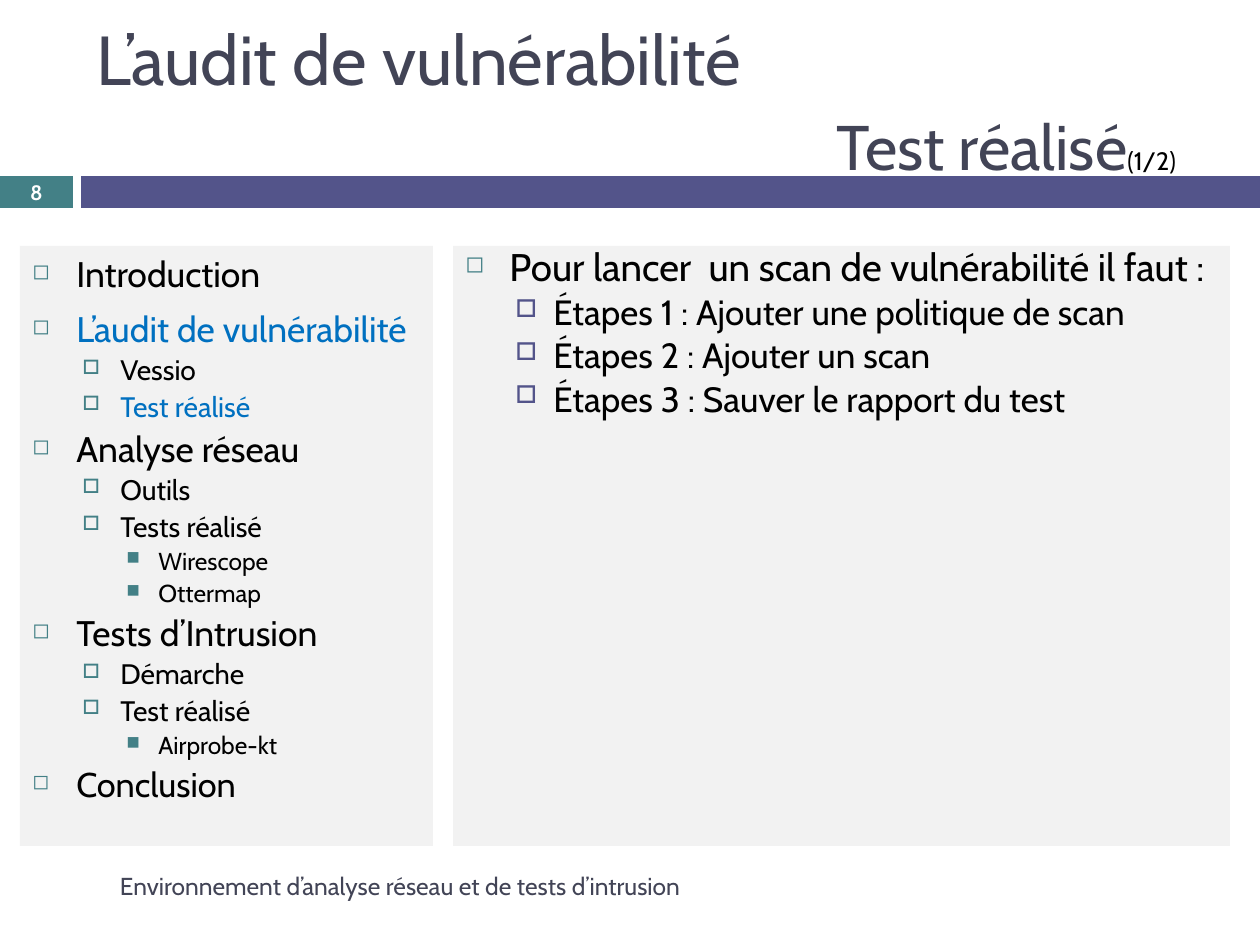
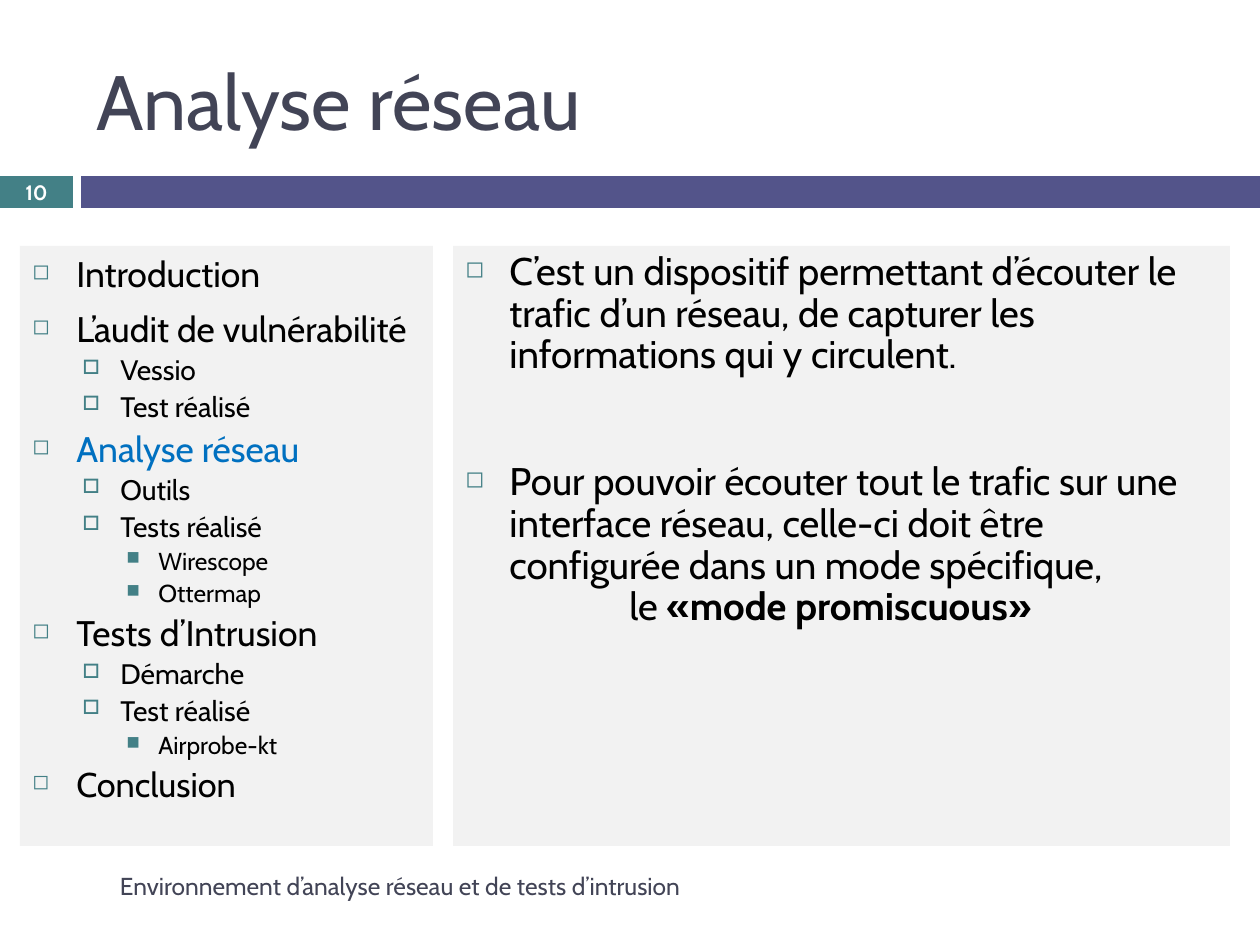
from dataclasses import dataclass
from lxml.etree import SubElement
from pptx import Presentation
from pptx.dml.color import RGBColor as Rgb
from pptx.enum.shapes import MSO_SHAPE as Shape
from pptx.enum.text import MSO_ANCHOR as Anchor, PP_ALIGN as Align
from pptx.oxml.ns import qn
from pptx.util import Pt

SCALE = 914400 / 126


@dataclass(frozen=True)
class Theme:
    """Colours, font and type sizes of the deck."""
    font: str = "Cabin"
    ink: str = "000000"
    white: str = "FFFFFF"
    slate: str = "424456"
    teal: str = "438086"
    violet: str = "53548A"
    panel: str = "F2F2F2"
    active: str = "0070C0"
    title: float = 44
    pair: tuple = (39.6, 36, 14.4)
    page: float = 11.9
    foot: float = 14
    menu: tuple = (20.3, 16.1, 14)
    last: float = 19.6
    body: tuple = (22, 20)


@dataclass(frozen=True)
class Level:
    """Indents in px, space before in points and bullet of an outline level."""
    left: int
    hang: int
    before: float
    mark: str
    ratio: int


THEME = Theme()
LEVELS = (Level(44, 44, 7, "◻", 60), Level(88, 38, 5.5, "□", 70),
          Level(126, 32, 5, "■", 75))
BAND = (0, 176, 1260, 32)
TITLE = (84, 32, 1124, 136)
SIDE = (20, 246, 413, 600)
BODY = (453, 246, 777, 600)
FOOT = (84, 861, 747, 50)
FOOTER = "Environnement d’analyse réseau et de tests d’intrusion"
MENU = (
    (0, "Introduction", 1), (0, "L’audit de vulnérabilité", 1),
    (1, "Vessio", 0.8), (1, "Test réalisé", 0.8),
    (0, "Analyse réseau", 0.8), (1, "Outils", 0.8), (1, "Tests réalisé", 0.8),
    (2, "Wirescope", 0.8), (2, "Ottermap", 0.8),
    (0, "Tests d’Intrusion", 0.8), (1, "Démarche", 0.8),
    (1, "Test réalisé", 0.8), (2, "Airprobe-kt", 0.8), (0, "Conclusion", 0.8),
)
STEPS = ("Ajouter une politique de scan", "Ajouter un scan",
         "Sauver le rapport du test")


def px(n):
    """Turn px into EMU."""
    return round(n * SCALE)


def style(para, size, color=THEME.ink, bold=False):
    """Set the font of a paragraph or run."""
    font = para.font
    font.name, font.size, font.bold = THEME.font, Pt(size), bold
    font.color.rgb = Rgb.from_string(color)


def block(slide, box, fill):
    """Add a plain filled rectangle."""
    shape = slide.shapes.add_shape(Shape.RECTANGLE, *map(px, box))
    shape.shadow.inherit = False
    shape.fill.solid()
    shape.fill.fore_color.rgb = Rgb.from_string(fill)
    shape.line.fill.background()
    return shape


def frame(slide, box, anchor=Anchor.MIDDLE):
    """Add a wrapping text box and return its frame."""
    text = slide.shapes.add_textbox(*map(px, box)).text_frame
    text.word_wrap, text.vertical_anchor = True, anchor
    return text


def grow(text):
    """Return the unused first paragraph or a new one."""
    first = text.paragraphs[0]
    return text.add_paragraph() if first.runs else first


def indent(para, left, hang=0):
    """Set the left margin and hanging indent."""
    props = para._p.get_or_add_pPr()
    props.set("marL", str(px(left)))
    props.set("indent", str(-px(hang)))
    return props


def item(text, words, depth, size, color, tint, pitch, before=None):
    """Add one bulleted outline line."""
    level = LEVELS[depth]
    para = grow(text)
    para.text, para.level, para.alignment = words, depth, Align.LEFT
    para.line_spacing = pitch
    para.space_before = Pt(level.before if before is None else before)
    style(para, size, color)
    props = indent(para, level.left, level.hang)
    SubElement(SubElement(props, qn("a:buClr")), qn("a:srgbClr"), val=tint)
    SubElement(props, qn("a:buSzPct"), val=str(level.ratio * 1000))
    SubElement(props, qn("a:buChar"), char=level.mark)


def panel(slide, box):
    """Add a grey panel and return its text frame."""
    text = block(slide, box, THEME.panel).text_frame
    text.word_wrap, text.vertical_anchor = True, Anchor.TOP
    return text


def band(slide, box, page):
    """Draw the page number tab and the long bar."""
    x, y, w, h = box
    tab, bar = 73, 81
    block(slide, (x, y, tab, h), THEME.teal)
    block(slide, (x + bar, y, w - bar, h), THEME.violet)
    para = frame(slide, (x, y - 1, tab, h + 2)).paragraphs[0]
    para.text, para.alignment = str(page), Align.CENTER
    style(para, THEME.page, THEME.white, True)


def foot(slide, box):
    """Write the footer."""
    text = frame(slide, box)
    text.margin_left = px(36)
    para = text.paragraphs[0]
    para.text = FOOTER
    style(para, THEME.foot, THEME.slate)


def menu(slide, box, active):
    """Write the outline with the active entries lit."""
    text = panel(slide, box)
    end = len(MENU) - 1
    for i, (depth, words, pitch) in enumerate(MENU):
        size = THEME.last if i == end else THEME.menu[depth]
        color = THEME.active if i in active else THEME.ink
        item(text, words, depth, size, color, THEME.teal, pitch)


def head(slide, box, words, size=THEME.title):
    """Write the title and return its frame."""
    text = frame(slide, box)
    para = text.paragraphs[0]
    para.text = words
    style(para, size, THEME.slate)
    return text


def subhead(text, words, part):
    """Add a right-aligned second title line with its part number."""
    _, size, small = THEME.pair
    text.margin_right = px(32)
    para = text.add_paragraph()
    para.alignment, para.space_before = Align.RIGHT, Pt(4.5)
    for piece, pts, color in ((words, size, THEME.slate),
                              (part, small, THEME.ink)):
        run = para.add_run()
        run.text = piece
        style(run, pts, color)


def scan(slide, box):
    """List the steps of a scan."""
    text = panel(slide, box)
    top, sub = THEME.body
    item(text, "Pour lancer  un scan de vulnérabilité il faut :", 0, top,
         THEME.ink, THEME.teal, 0.8)
    for i, step in enumerate(STEPS, 1):
        item(text, f"Étapes {i} : {step}", 1, sub, THEME.ink, THEME.violet, 0.8)


def sniff(slide, box):
    """Explain traffic capture."""
    text = panel(slide, box)
    size = THEME.body[0]
    look = (0, size, THEME.ink, THEME.teal, 0.9)
    item(text, "C’est un dispositif permettant d’écouter le trafic d’un "
         "réseau, de capturer les informations qui y circulent.", *look)
    item(text, "Pour pouvoir écouter tout le trafic sur une interface réseau, "
         "celle-ci doit être configurée dans un mode spécifique,", *look, 49)
    para = text.add_paragraph()
    para.alignment, para.line_spacing = Align.LEFT, 0.9
    indent(para, 164)
    for words, bold in (("le ", False), ("«mode promiscuous»", True)):
        run = para.add_run()
        run.text = words
        style(run, size, bold=bold)


def base(deck, page, active):
    """Add a slide with the shared band, outline and footer."""
    slide = deck.slides.add_slide(deck.slide_layouts[6])
    band(slide, BAND, page)
    menu(slide, SIDE, active)
    foot(slide, FOOT)
    return slide


def main():
    """Build and save the deck."""
    deck = Presentation()
    deck.slide_width, deck.slide_height = px(1260), px(945)
    audit = base(deck, 8, {1, 3})
    text = head(audit, TITLE, "L’audit de vulnérabilité", THEME.pair[0])
    subhead(text, "Test réalisé", "(1/2)")
    scan(audit, BODY)
    net = base(deck, 10, {4})
    head(net, TITLE, "Analyse réseau")
    sniff(net, BODY)
    deck.save("out.pptx")


if __name__ == "__main__":
    main()
